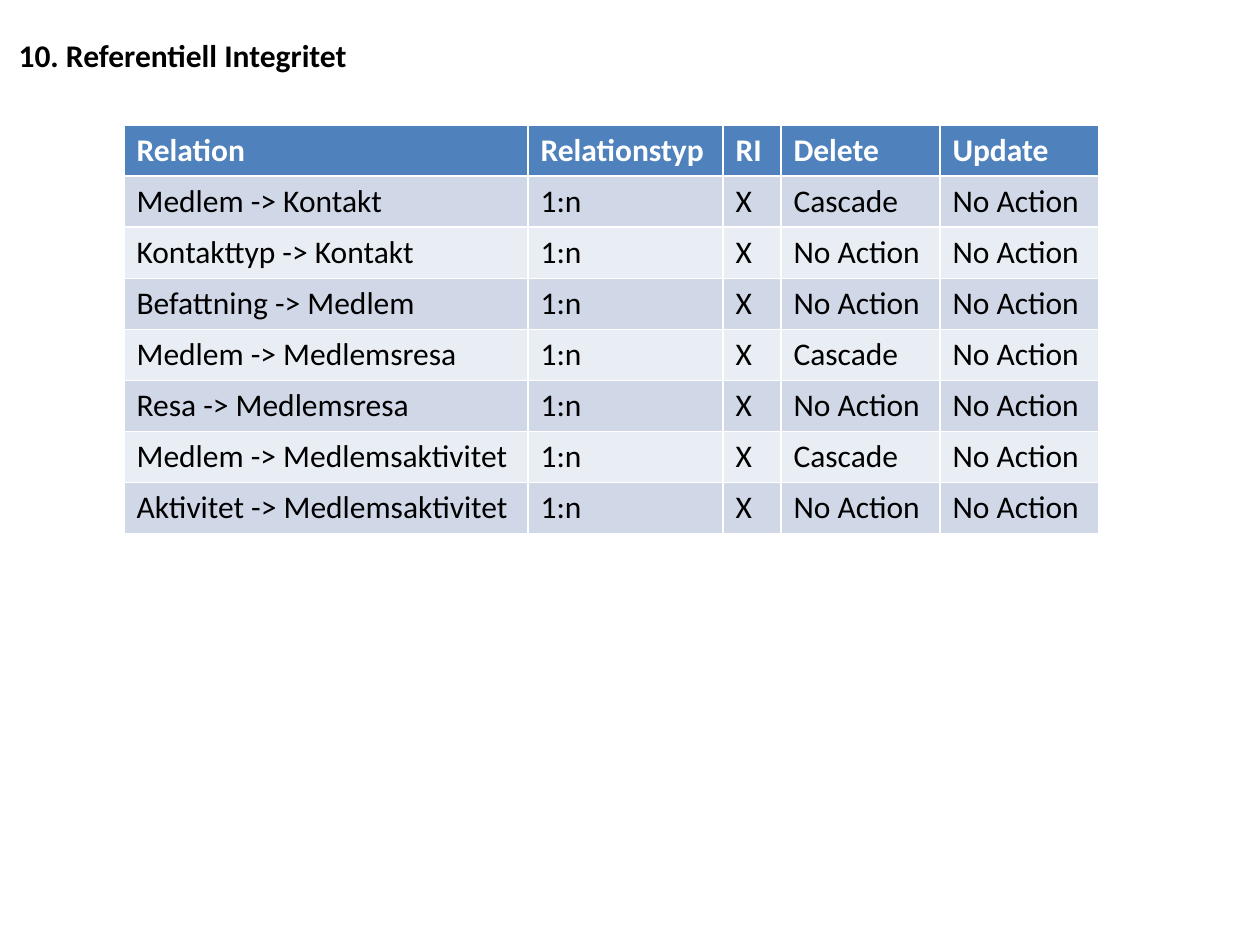
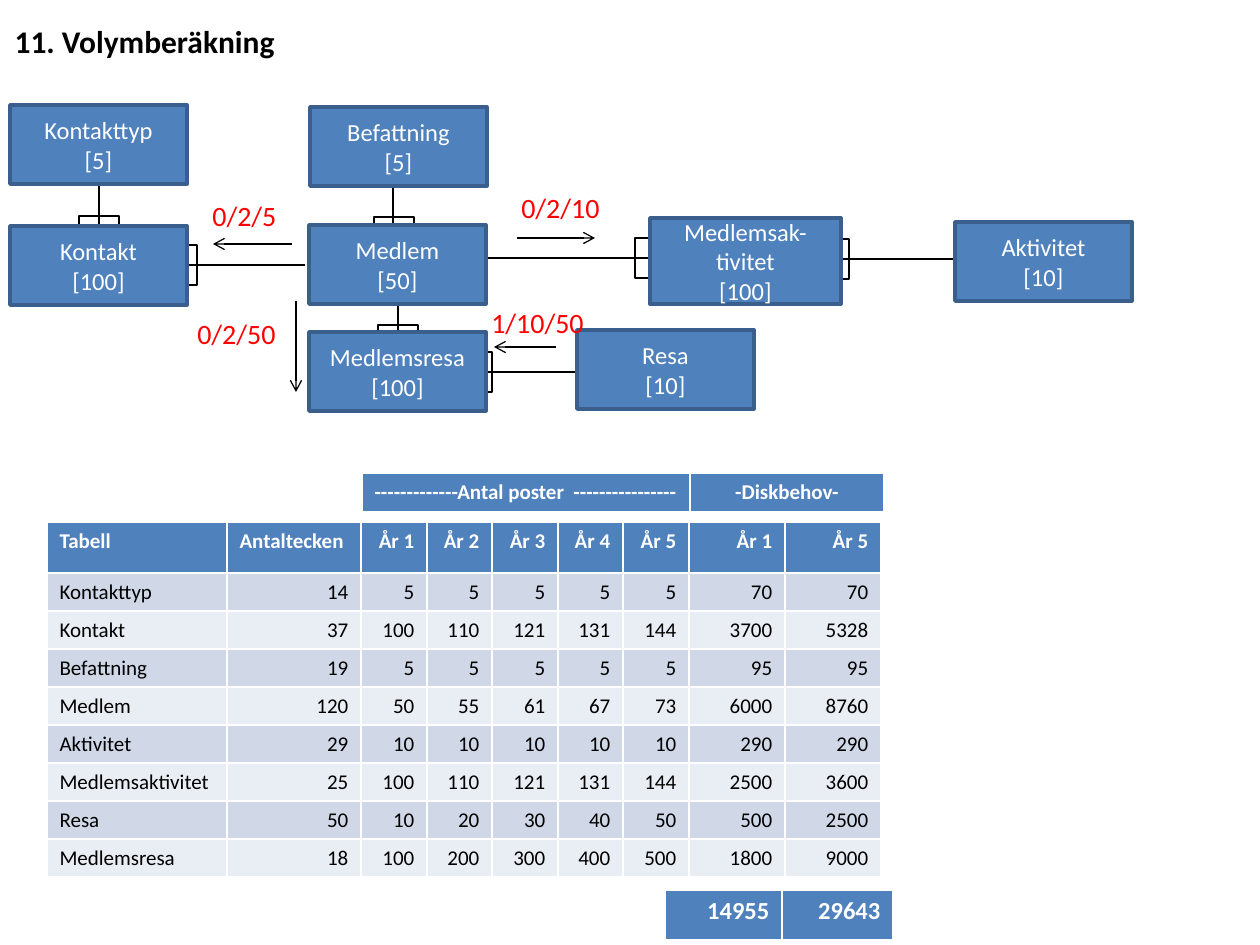
"""Two slides on database design: referential integrity and volume estimate."""
from lxml import etree
from pptx import Presentation
from pptx import util as u
from pptx.dml.color import RGBColor
from pptx.enum import shapes, text
from pptx.oxml import ns

BLUE, OUTLINE, BANDS = "4F81BD", "3A5F8C", ("E9EDF4", "D0D8E8")
BLACK, WHITE, RED = "000000", "FFFFFF", "FF0000"
FONT = "Calibri"
EMU_PER_PIXEL = 914400 / 126
ALIGN = {"l": text.PP_ALIGN.LEFT, "c": text.PP_ALIGN.CENTER, "r": text.PP_ALIGN.RIGHT}
rgb = RGBColor.from_string


def px(*lengths):
    """Turn pixel lengths into a list of EMU lengths."""
    return [u.Emu(round(length * EMU_PER_PIXEL)) for length in lengths]


def write(frame, words, size=18, color=BLACK, bold=False, align="l", anchor=text.MSO_ANCHOR.TOP):
    """Fill a text frame, one paragraph per line of words."""
    frame.word_wrap = True
    frame.vertical_anchor = anchor
    frame.text = words
    for para in frame.paragraphs:
        para.alignment = ALIGN[align]
        for span in para.runs:
            span.font.name, span.font.size, span.font.bold = FONT, u.Pt(size), bold
            span.font.color.rgb = rgb(color)


deck = Presentation()
deck.slide_width, deck.slide_height = px(1260, 945)

# Pages with their titles
pages = []
for words, left, top in [("10. Referentiell Integritet", 6, 30), ("11. Volymberäkning", 2, 16)]:
    page = deck.slides.add_slide(deck.slide_layouts[5])
    title = page.shapes.title
    title.left, title.top, title.width, title.height = px(left, top, 893, 50)
    write(title.text_frame, words, bold=True)
    title.text_frame.auto_size = text.MSO_AUTO_SIZE.NONE
    pages.append(page)
integrity, volume = pages

# Relation lines and flow arrows: x1, y1, x2, y2
relations = [
    (393, 173, 393, 226), (99, 165, 99, 224), (305, 265, 188, 265), (462, 258, 650, 258),
    (958, 259, 840, 259), (398, 223, 398, 334), (601, 372, 483, 372),
]
flows = [(292, 244, 213, 244), (517, 238, 595, 238), (296, 301, 296, 392), (556, 347, 494, 347)]
for ends in relations + flows:
    line = volume.shapes.add_connector(shapes.MSO_CONNECTOR.STRAIGHT, *px(*ends))
    line.line.color.rgb = rgb(BLACK)
    line.line.width = u.Pt(0.75)
    if ends in flows:
        etree.SubElement(line.line._get_or_add_ln(), ns.qn("a:tailEnd"), type="arrow")
    etree.SubElement(line._element.spPr, ns.qn("a:effectLst"))

# Brackets at the "many" end of each relation
for place in [
    (374, 217, 40, 9), (79, 216, 40, 9), (188, 245, 9, 40), (635, 238, 14, 40),
    (840, 239, 9, 40), (378, 325, 40, 9), (483, 352, 9, 40),
]:
    bracket = volume.shapes.add_shape(shapes.MSO_SHAPE.RECTANGLE, *px(*place))
    bracket.shadow.inherit = False
    bracket.fill.background()
    bracket.line.color.rgb = rgb(BLACK)
    bracket.line.width = u.Pt(0.75)

# Entities with their number of records
for name, count, left, top, width, height in [
    ("Aktivitet", 10, 955, 222, 177, 79),
    ("Kontakt", 100, 10, 226, 177, 79),
    ("Kontakttyp", 5, 10, 105, 177, 79),
    ("Befattning", 5, 310, 107, 177, 79),
    ("Medlem", 50, 309, 225, 177, 79),
    ("Resa", 10, 577, 330, 177, 79),
    ("Medlemsak-tivitet", 100, 650, 218, 191, 86),
    ("Medlemsresa", 100, 309, 332, 177, 79),
]:
    entity = volume.shapes.add_shape(shapes.MSO_SHAPE.RECTANGLE, *px(left, top, width, height))
    entity.shadow.inherit = False
    entity.fill.solid()
    entity.fill.fore_color.rgb = rgb(BLUE)
    entity.line.color.rgb = rgb(OUTLINE)
    entity.line.width = u.Pt(2)
    write(entity.text_frame, f"{name}\n[{count}]", size=14, color=WHITE, align="c",
          anchor=text.MSO_ANCHOR.MIDDLE)

# Min / average / max beside the flow arrows
for words, left, top, width in [
    ("0/2/5", 200, 192, 110), ("0/2/10", 509, 184, 125),
    ("0/2/50", 185, 310, 125), ("1/10/50", 479, 299, 140),
]:
    label = volume.shapes.add_textbox(*px(left, top, width, 47))
    write(label.text_frame, words, size=16, color=RED)

# Table contents; disk need is record length times number of records
integrity_rows = [("Relation", "Relationstyp", "RI", "Delete", "Update")]
for relation, on_delete in [
    ("Medlem -> Kontakt", "Cascade"),
    ("Kontakttyp -> Kontakt", "No Action"),
    ("Befattning -> Medlem", "No Action"),
    ("Medlem -> Medlemsresa", "Cascade"),
    ("Resa -> Medlemsresa", "No Action"),
    ("Medlem -> Medlemsaktivitet", "Cascade"),
    ("Aktivitet -> Medlemsaktivitet", "No Action"),
]:
    integrity_rows.append((relation, "1:n", "X", on_delete, "No Action"))

years = [f"År {year}" for year in range(1, 6)]
volume_rows = [("Tabell", "Antaltecken", *years, years[0], years[-1])]
for name, length, *counts in [
    ("Kontakttyp", 14, 5, 5, 5, 5, 5),
    ("Kontakt", 37, 100, 110, 121, 131, 144),
    ("Befattning", 19, 5, 5, 5, 5, 5),
    ("Medlem", 120, 50, 55, 61, 67, 73),
    ("Aktivitet", 29, 10, 10, 10, 10, 10),
    ("Medlemsaktivitet", 25, 100, 110, 121, 131, 144),
    ("Resa", 50, 10, 20, 30, 40, 50),
    ("Medlemsresa", 18, 100, 200, 300, 400, 500),
]:
    volume_rows.append((name, length, *counts, length * counts[0], length * counts[-1]))
totals = [sum(row[column] for row in volume_rows[1:]) for column in (-2, -1)]
headings = ["-------------Antal poster  ----------------", "-Diskbehov-"]

# Tables: page, left, top, column widths, header height, row height, size, alignments, rows
for page, left, top, widths, header, height, size, aligns, rows in [
    (integrity, 124, 125, (404, 195, 58, 159, 159), 51, 51, 18, "lllll", integrity_rows),
    (volume, 47, 522, (180, 134, 66, 65, 66, 65, 66, 96, 96), 51, 38, 12, "llrrrrrrr", volume_rows),
    (volume, 362, 473, (328, 194), 39, 39, 12, "lc", [headings]),
    (volume, 665, 890, (117, 111), 50, 50, 14, "rr", [totals]),
]:
    total_height = header + height * (len(rows) - 1)
    frame = page.shapes.add_table(len(rows), len(widths), *px(left, top, sum(widths), total_height))
    table = frame.table
    for column, width in zip(table.columns, px(*widths)):
        column.width = width
    for r, row in enumerate(rows):
        table.rows[r].height = px(height if r else header)[0]
        for c, value in enumerate(row):
            cell = table.cell(r, c)
            cell.fill.solid()
            cell.fill.fore_color.rgb = rgb(BANDS[r % 2] if r else BLUE)
            align = "r" if r and isinstance(value, int) else aligns[c]
            write(cell.text_frame, str(value), size=size, color=BLACK if r else WHITE,
                  bold=r == 0, align=align)

deck.save("out.pptx")
